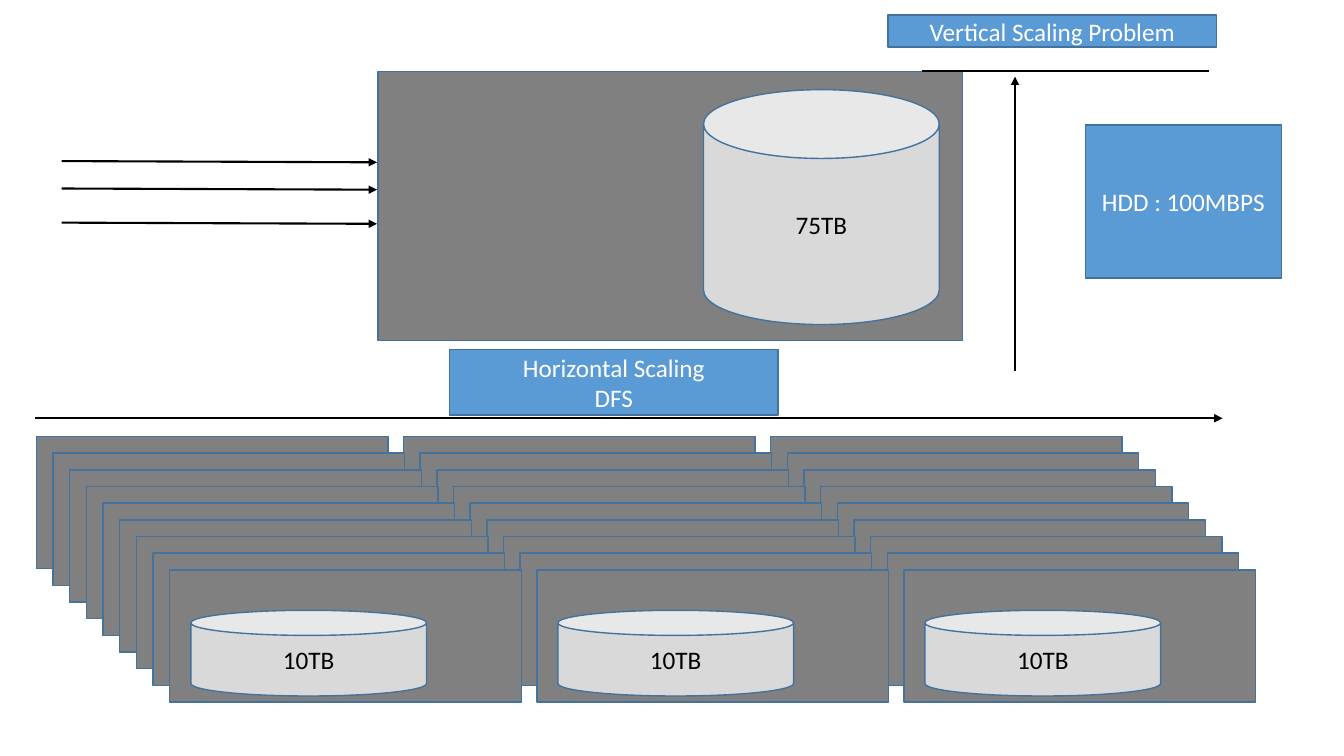
from pptx import Presentation
from pptx.dml.color import RGBColor
from pptx.enum.shapes import MSO_CONNECTOR, MSO_SHAPE
from pptx.enum.text import MSO_ANCHOR, PP_ALIGN
from pptx.oxml.ns import qn
from pptx.util import Cm, Pt
from lxml import etree

RECT, CAN = MSO_SHAPE.RECTANGLE, MSO_SHAPE.CAN
STRAIGHT = MSO_CONNECTOR.STRAIGHT
CENTER, MIDDLE = PP_ALIGN.CENTER, MSO_ANCHOR.MIDDLE

BLACK = RGBColor(0x00, 0x00, 0x00)
WHITE = RGBColor(0xFF, 0xFF, 0xFF)
GRAY = RGBColor(0x80, 0x80, 0x80)
LIGHT = RGBColor(0xD9, 0xD9, 0xD9)
BLUE = RGBColor(0x5B, 0x9B, 0xD5)
OUTLINE = RGBColor(0x43, 0x72, 0x9D)

# Content: lengths in cm, boxes as left, top, width, height
BIG_SERVER = (9.53, 1.8, 14.73, 6.78)
BIG_DISK = ("75TB", (17.73, 2.26, 5.94, 5.92))
LABELS = [
    (["Vertical Scaling Problem"], (22.38, 0.38, 8.28, 0.81)),
    (["Horizontal Scaling", "DFS"], (11.33, 8.81, 8.28, 1.65)),
    (["HDD : 100MBPS"], (27.36, 3.15, 4.93, 3.86)),
]
REQUEST_TOPS = [4.06, 4.75, 5.61]
REQUEST_LEFT, REQUEST_RIGHT, REQUEST_DROP = 1.55, 9.5, 0.03
CEILING = (23.24, 1.8, 30.48, 1.8)
GROWTH_UP = (25.58, 9.35, 25.58, 1.93)
GROWTH_ACROSS = (0.89, 10.54, 30.81, 10.54)

# Cluster of small servers: rows step down and right, the front row has disks
ROWS, COLUMNS = 9, 3
CLUSTER_LEFT, CLUSTER_TOP = 0.92, 11
COLUMN_PITCH, ROW_STEP = 9.25, 0.42
NODE_W, NODE_H = 8.86, 3.33
NODE_DISK = "10TB"
DISK_DX, DISK_DY, DISK_W, DISK_H = 0.53, 1.02, 5.94, 2.16

prs = Presentation()
prs.slide_width, prs.slide_height = Cm(33.87), Cm(19.05)
s = prs.slides.add_slide(prs.slide_layouts[6])


def add_box(kind, box, fill, lines=(), color=WHITE):
    sp = s.shapes.add_shape(kind, *map(Cm, box))
    sp.shadow.inherit = False
    sp.fill.solid()
    sp.fill.fore_color.rgb = fill
    sp.line.color.rgb = OUTLINE
    sp.line.width = Pt(1)
    tf = sp.text_frame
    tf.word_wrap = True
    tf.vertical_anchor = MIDDLE
    for i, text in enumerate(lines):
        p = tf.paragraphs[0] if i == 0 else tf.add_paragraph()
        p.alignment = CENTER
        r = p.add_run()
        r.text = text
        r.font.color.rgb = color
        for name, value in {"name": "Calibri", "size": Pt(18)}.items():
            setattr(r.font, name, value)
    return sp


def add_disk(text, box):
    sp = add_box(CAN, box, LIGHT, [text], BLACK)
    sp.adjustments[0] = 0.293


def add_line(ends, arrow=True):
    c = s.shapes.add_connector(STRAIGHT, *map(Cm, ends))
    c.line.color.rgb = BLACK
    c.line.width = Pt(1.5)
    if arrow:
        etree.SubElement(c.line._get_or_add_ln(), qn("a:tailEnd"), type="triangle")
    etree.SubElement(c._element.spPr, qn("a:effectLst"))


# Vertical scaling: one big server with incoming requests
add_box(RECT, BIG_SERVER, GRAY)
add_disk(*BIG_DISK)
for top in REQUEST_TOPS:
    add_line((REQUEST_LEFT, top, REQUEST_RIGHT, top + REQUEST_DROP))
add_line(GROWTH_UP)
add_line(CEILING, arrow=False)

# Horizontal scaling: rows of servers from back to front
for row in range(ROWS):
    for column in range(COLUMNS):
        left = CLUSTER_LEFT + column * COLUMN_PITCH + row * ROW_STEP
        top = CLUSTER_TOP + row * ROW_STEP
        add_box(RECT, (left, top, NODE_W, NODE_H), GRAY)
        if row == ROWS - 1:
            add_disk(NODE_DISK, (left + DISK_DX, top + DISK_DY, DISK_W, DISK_H))
add_line(GROWTH_ACROSS)

# Blue labels
for lines, box in LABELS:
    add_box(RECT, box, BLUE, lines)

prs.save("out.pptx")
